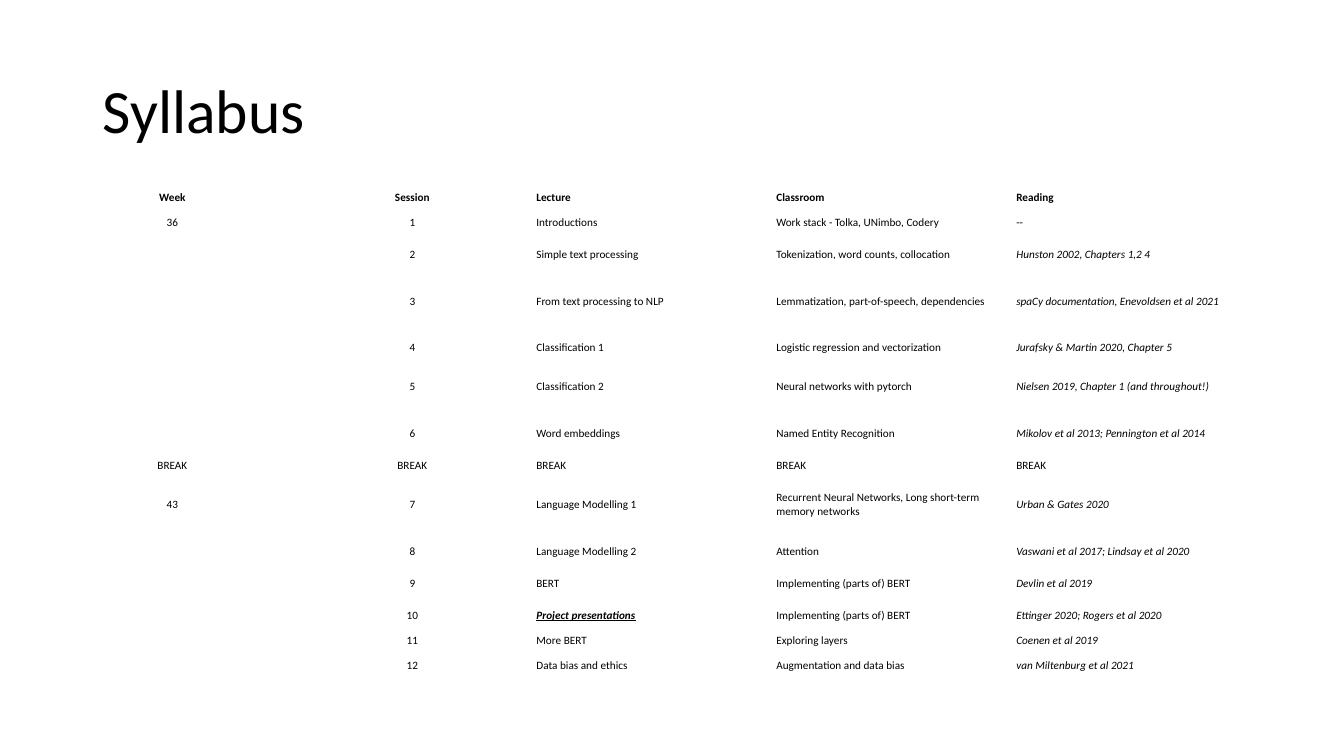
import dataclasses

import lxml.etree
import pptx
import pptx.dml.color
import pptx.enum.text
import pptx.oxml.ns
import pptx.util

PX = 9144  # EMU per px, 100 px to the inch
FONT = "Calibri"
COLORS = {"text": "000000"}
PP_ALIGN = pptx.enum.text.PP_ALIGN
MIDDLE = pptx.enum.text.MSO_ANCHOR.MIDDLE


@dataclasses.dataclass
class Session:
    height: int
    week: str
    number: str
    lecture: str
    classroom: str
    reading: str
    header: bool = False
    cited: bool = True
    milestone: bool = False

    def texts(self) -> list[str]:
        return [self.week, self.number, self.lecture, self.classroom, self.reading]


SESSIONS = [
    Session(18, "Week", "Session", "Lecture", "Classroom", "Reading", header=True, cited=False),
    Session(32, "36", "1", "Introductions", "Work stack - Tolka, UNimbo, Codery", "--", cited=False),
    Session(32, "", "2", "Simple text processing", "Tokenization, word counts, collocation",
            "Hunston 2002, Chapters 1,2 4"),
    Session(60, "", "3", "From text processing to NLP", "Lemmatization, part-of-speech, dependencies",
            "spaCy documentation, Enevoldsen et al 2021"),
    Session(32, "", "4", "Classification 1", "Logistic regression and vectorization",
            "Jurafsky & Martin 2020, Chapter 5"),
    Session(46, "", "5", "Classification 2", "Neural networks with pytorch",
            "Nielsen 2019, Chapter 1 (and throughout!)"),
    Session(46, "", "6", "Word embeddings", "Named Entity Recognition",
            "Mikolov et al 2013; Pennington et al 2014"),
    Session(18, *["BREAK"] * 5, cited=False),
    Session(60, "43", "7", "Language Modelling 1",
            "Recurrent Neural Networks, Long short-term memory networks", "Urban & Gates 2020"),
    Session(32, "", "8", "Language Modelling 2", "Attention", "Vaswani et al 2017; Lindsay et al 2020"),
    Session(32, "", "9", "BERT", "Implementing (parts of) BERT", "Devlin et al 2019"),
    Session(32, "", "10", "Project presentations", "Implementing (parts of) BERT",
            "Ettinger 2020; Rogers et al 2020", milestone=True),
    Session(18, "", "11", "More BERT", "Exploring layers", "Coenen et al 2019"),
    Session(32, "", "12", "Data bias and ethics", "Augmentation and data bias",
            "van Miltenburg et al 2021"),
]
CENTERED, LECTURE, READING = (0, 1), 2, 4


def px(n: int) -> pptx.util.Emu:
    return pptx.util.Emu(n * PX)


def style(p, size: int) -> None:
    p.font.name = FONT
    p.font.size = pptx.util.Pt(size)
    p.font.color.rgb = pptx.dml.color.RGBColor.from_string(COLORS["text"])


def add_title(slide, text: str) -> None:
    tf = slide.shapes.add_textbox(px(92), px(40), px(1150), px(145)).text_frame
    tf.word_wrap = True
    tf.vertical_anchor = MIDDLE
    p = tf.paragraphs[0]
    p.text = text
    p.line_spacing = 0.9
    style(p, 44)


def fill_cell(cell, text: str, col: int, session: Session) -> None:
    cell.fill.background()
    cell.vertical_anchor = MIDDLE
    cell.margin_left = cell.margin_right = px(4)
    cell.margin_top = cell.margin_bottom = px(2)
    p = cell.text_frame.paragraphs[0]
    p.text = text
    p.alignment = PP_ALIGN.CENTER if col in CENTERED else PP_ALIGN.LEFT
    style(p, 8)
    marked = session.milestone and col == LECTURE
    p.font.bold = session.header or marked
    p.font.italic = marked or (session.cited and col == READING)
    p.font.underline = marked
    if not text:  # keeps an empty cell from stretching its row
        lxml.etree.SubElement(p._p, pptx.oxml.ns.qn("a:endParaRPr"), sz="800")


def add_syllabus(slide, sessions: list[Session]) -> None:
    cols = len(sessions[0].texts())
    height = sum(s.height for s in sessions)
    table = slide.shapes.add_table(len(sessions), cols, px(52), px(187), px(238 * cols), px(height)).table
    table.first_row = table.horz_banding = False
    for row, session in enumerate(sessions):
        table.rows[row].height = px(session.height)
        for col, text in enumerate(session.texts()):
            fill_cell(table.cell(row, col), text, col, session)


def main() -> None:
    prs = pptx.Presentation()
    prs.slide_width, prs.slide_height = px(1333), px(750)
    slide = prs.slides.add_slide(prs.slide_layouts[6])
    add_title(slide, "Syllabus")
    add_syllabus(slide, SESSIONS)
    prs.save("out.pptx")


if __name__ == "__main__":
    main()
